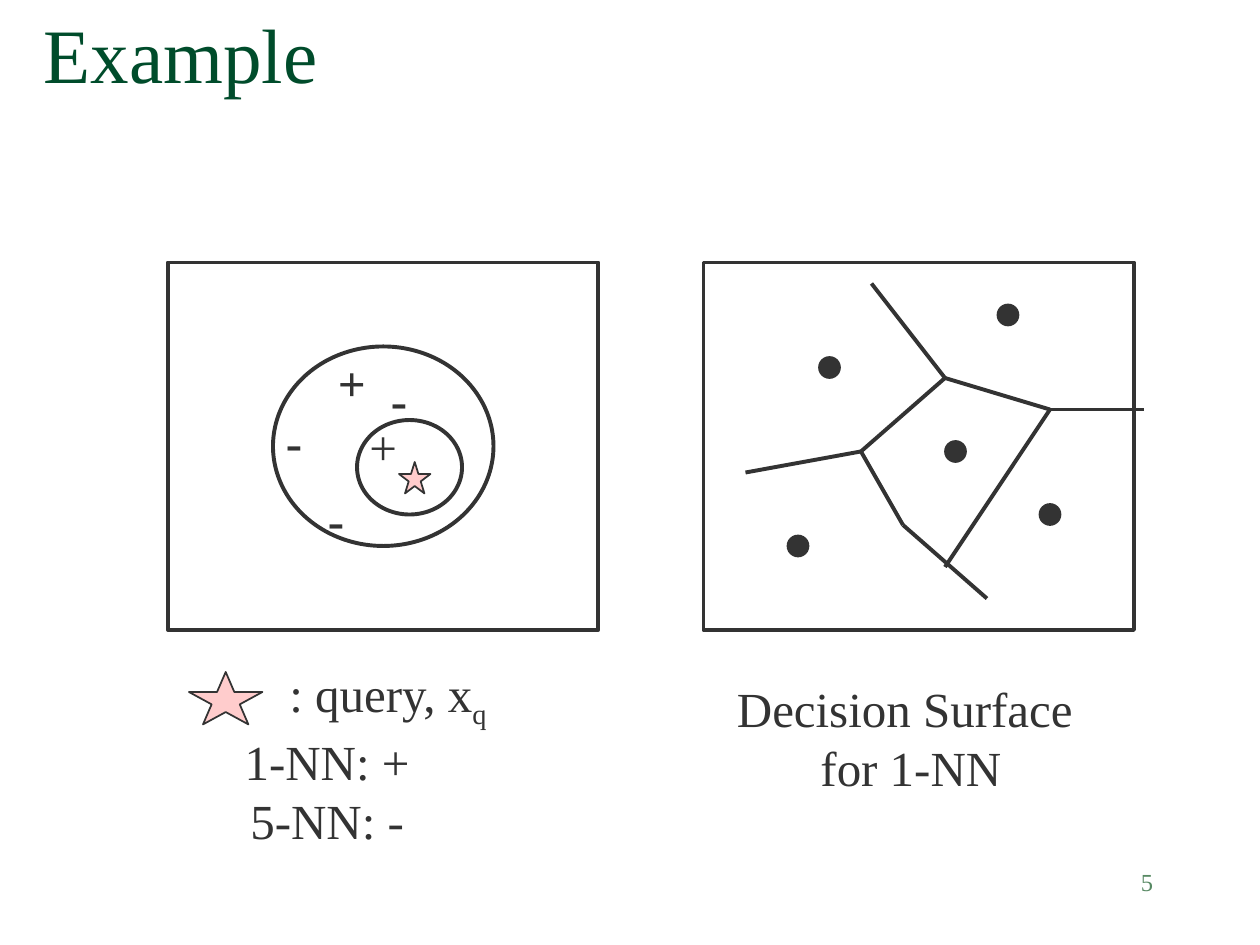
"""Build the nearest-neighbour example slide."""
from dataclasses import dataclass

from lxml import etree
from pptx import Presentation
from pptx.dml.color import RGBColor
from pptx.enum.shapes import MSO_CONNECTOR, MSO_SHAPE
from pptx.enum.text import MSO_ANCHOR, PP_ALIGN
from pptx.oxml.ns import qn
from pptx.util import Emu, Pt

EMU_PER_PX = 7620
LEFT, CENTER, RIGHT = PP_ALIGN.LEFT, PP_ALIGN.CENTER, PP_ALIGN.RIGHT
TOP, MIDDLE, BOTTOM = MSO_ANCHOR.TOP, MSO_ANCHOR.MIDDLE, MSO_ANCHOR.BOTTOM
RECTANGLE, OVAL, STAR = MSO_SHAPE.RECTANGLE, MSO_SHAPE.OVAL, MSO_SHAPE.STAR_5_POINT
STRAIGHT = MSO_CONNECTOR.STRAIGHT


@dataclass(frozen=True)
class Theme:
    """Hold the colours, type sizes and line widths."""
    font: str = "Times New Roman"
    ink: str = "333333"
    title: str = "004C2B"
    number: str = "578963"
    star: str = "FFCCCC"
    title_size: int = 44
    body_size: int = 28
    number_size: int = 14
    thick: float = 2.25
    thin: float = 1


THEME = Theme()
PANELS = [(160, 250, 410, 350), (670, 250, 410, 350)]
STARS = [(380, 440, 30, 30), (180, 640, 70, 50)]
SIGNS = [("+", 310, 330, 50), ("-", 260, 386, 40), ("-", 360, 346, 40), ("-", 300, 460, 40)]
SAMPLES = [(990, 480), (750, 510), (900, 420), (950, 290), (780, 340)]
CELL_CORNERS = {"top": (900, 360), "right": (1000, 390), "left": (820, 430),
                "lower": (860, 500), "bottom": (900, 540)}
CELL_SIDES = [("top", "left"), ("left", "lower"), ("top", "right"), ("right", "bottom")]
OUTER_EDGES = [("top", (830, 270)), ("left", (710, 450)),
               ("lower", (940, 570)), ("right", (1090, 390))]


def px(*lengths):
    """Turn pixel lengths into EMU."""
    return [Emu(length * EMU_PER_PX) for length in lengths]


def write_text(shape, lines, size=THEME.body_size, color=THEME.ink, bold=False,
               align=CENTER, anchor=MIDDLE, wrap=False, subscript=""):
    """Write lines into a shape, with an optional subscript after the last."""
    frame = shape.text_frame
    frame.word_wrap = wrap
    frame.vertical_anchor = anchor
    for index, line in enumerate(lines):
        paragraph = frame.add_paragraph() if index else frame.paragraphs[0]
        paragraph.alignment = align
        last = index == len(lines) - 1
        for text in [line, subscript] if subscript and last else [line]:
            run = paragraph.add_run()
            run.text = text
            run.font.name = THEME.font
            run.font.size = Pt(size)
            run.font.bold = bold
            run.font.color.rgb = RGBColor.from_string(color)
        if subscript and last:
            run._r.get_or_add_rPr().set("baseline", "-25000")


def add_text(slide, box, lines, **text_format):
    """Add a text box."""
    write_text(slide.shapes.add_textbox(*px(*box)), lines, **text_format)


def add_outline(slide, kind, box, fill=None, width=THEME.thick):
    """Add an outlined preset shape, filled when a colour is given."""
    shape = slide.shapes.add_shape(kind, *px(*box))
    shape.shadow.inherit = False
    if fill:
        shape.fill.solid()
        shape.fill.fore_color.rgb = RGBColor.from_string(fill)
    else:
        shape.fill.background()
    shape.line.color.rgb = RGBColor.from_string(THEME.ink)
    shape.line.width = Pt(width)
    return shape


def add_edge(slide, start, end):
    """Add a straight boundary between two points."""
    edge = slide.shapes.add_connector(STRAIGHT, *px(*start, *end))
    edge.line.color.rgb = RGBColor.from_string(THEME.ink)
    edge.line.width = Pt(THEME.thick)
    etree.SubElement(edge._element.spPr, qn("a:effectLst"))


def add_neighbours(slide):
    """Add the query point with its nearest neighbours."""
    five_nearest = add_outline(slide, OVAL, (260, 330, 210, 190))
    write_text(five_nearest, ["+"])
    add_outline(slide, OVAL, (340, 400, 100, 90))
    for box in STARS:
        add_outline(slide, STAR, box, fill=THEME.star, width=THEME.thin)
    for sign, left, top, width in SIGNS:
        add_text(slide, (left, top, width, 68), [sign], bold=True)


def add_decision_surface(slide):
    """Add the samples and the boundaries between their cells."""
    for left, top in SAMPLES:
        add_outline(slide, OVAL, (left, top, 20, 20), fill=THEME.ink, width=THEME.thin)
    for start, end in CELL_SIDES:
        add_edge(slide, CELL_CORNERS[start], CELL_CORNERS[end])
    for corner, end in OUTER_EDGES:
        add_edge(slide, CELL_CORNERS[corner], end)


def main():
    """Build and save the slide."""
    presentation = Presentation()
    presentation.slide_width, presentation.slide_height = px(1200, 900)
    slide = presentation.slides.add_slide(presentation.slide_layouts[6])
    add_text(slide, (30, 30, 1010, 70), ["Example"], size=THEME.title_size,
             color=THEME.title, align=LEFT, anchor=BOTTOM, wrap=True)
    for box in PANELS:
        add_outline(slide, RECTANGLE, box)
    add_neighbours(slide)
    add_decision_surface(slide)
    add_text(slide, (262, 626, 215, 76), [": query, x"], subscript="q")
    add_text(slide, (221, 690, 181, 125), ["1-NN: +", "5-NN: -"])
    add_text(slide, (690, 640, 355, 125), ["Decision Surface ", "for 1-NN"])
    add_text(slide, (860, 820, 250, 60), ["5"], size=THEME.number_size,
             color=THEME.number, align=RIGHT, anchor=TOP, wrap=True)
    presentation.save("out.pptx")


if __name__ == "__main__":
    main()
